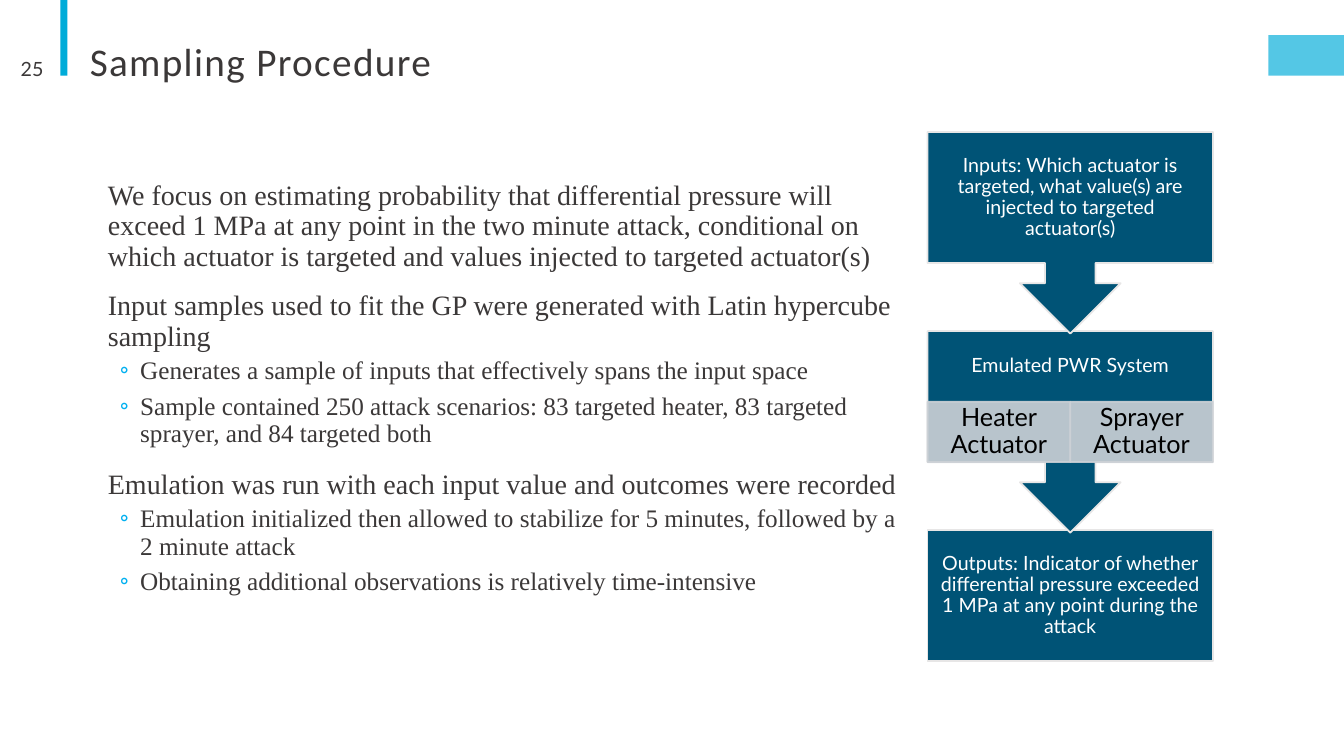
from lxml.etree import SubElement
from pptx import Presentation
from pptx.dml.color import RGBColor
from pptx.enum.shapes import MSO_SHAPE
from pptx.enum.text import MSO_ANCHOR, PP_ALIGN
from pptx.oxml.ns import qn
from pptx.util import Inches, Pt

CYAN = RGBColor(0x00, 0xAC, 0xD9)
BULLET = RGBColor(0x00, 0xB0, 0xF0)
NAVY = RGBColor(0x00, 0x53, 0x76)
PALE = RGBColor(0xE7, 0xE6, 0xE6)
GREY = RGBColor(0xCC, 0xD1, 0xD6)
INK = RGBColor(0x3B, 0x38, 0x38)
WHITE = RGBColor(0xFF, 0xFF, 0xFF)
BLACK = RGBColor(0x00, 0x00, 0x00)

deck = Presentation()
deck.slide_width, deck.slide_height = Inches(13.33), Inches(7.5)
page = deck.slides.add_slide(deck.slide_layouts[5])


def add_block(kind, place, fill, line=None, opacity=100):
    block = page.shapes.add_shape(kind, *map(Inches, place))
    block.shadow.inherit = False
    block.fill.solid()
    block.fill.fore_color.rgb = fill
    if line is None:
        block.line.fill.background()
    else:
        block.line.color.rgb = line
        block.line.width = Pt(1.25)
    if opacity < 100:
        for color in block._element.spPr.iter(qn("a:srgbClr")):
            SubElement(color, qn("a:alpha"), val=str(opacity * 1000))
    return block


def write(frame, text, font, align, anchor, insets, spacing=1.0):
    frame.word_wrap = True
    frame.vertical_anchor = anchor
    for side, inset in zip(("left", "top", "right", "bottom"), insets):
        setattr(frame, f"margin_{side}", Inches(inset))
    para = frame.paragraphs[0]
    para.alignment, para.line_spacing = align, spacing
    span = para.add_run()
    span.text = text
    for name, value in font.items():
        if name == "color":
            span.font.color.rgb = value
        else:
            setattr(span.font, name, value)
    return span


add_block(MSO_SHAPE.RECTANGLE, (0.6, 0, 0.07, 0.75), CYAN)
add_block(MSO_SHAPE.RECTANGLE, (12.58, 0.35, 0.75, 0.4), CYAN, opacity=67)

title = page.shapes.title
title.left, title.top, title.width, title.height = map(Inches, (0.79, 0.39, 11, 0.62))
heading = write(title.text_frame, "Sampling Procedure",
                {"name": "Calibri", "size": Pt(28), "color": INK},
                PP_ALIGN.LEFT, MSO_ANCHOR.TOP, (0.1, 0.05, 0.1, 0.05), 0.85)
heading.font._element.set("spc", "100")

number = page.shapes.add_textbox(*map(Inches, (0.07, 0.48, 0.46, 0.4)))
write(number.text_frame, "25", {"name": "Lato", "size": Pt(14), "color": INK},
      PP_ALIGN.RIGHT, MSO_ANCHOR.MIDDLE, (0.1, 0.05, 0.1, 0.05))

LEFT, WIDTH, BOX_HEIGHT, CALLOUT_HEIGHT = 9.2, 2.83, 1.3, 2
ACTUATOR_HEIGHT = 0.6
STEP = 1.975
step_tops = [1.31 + STEP * index for index in range(3)]
steps = [
    (2, MSO_SHAPE.RECTANGLE, BOX_HEIGHT, 0.11,
     "Outputs: Indicator of whether differential pressure exceeded 1 MPa at any point during the attack"),
    (1, MSO_SHAPE.DOWN_ARROW_CALLOUT, CALLOUT_HEIGHT, 0.11 + ACTUATOR_HEIGHT,
     "Emulated PWR System"),
    (0, MSO_SHAPE.DOWN_ARROW_CALLOUT, CALLOUT_HEIGHT, 0.11,
     "Inputs: Which actuator is targeted, what value(s) are injected to targeted actuator(s)"),
]
for index, kind, height, bottom, text in steps:
    step = add_block(kind, (LEFT, step_tops[index], WIDTH, height), NAVY, PALE)
    if kind == MSO_SHAPE.DOWN_ARROW_CALLOUT:
        for position, share in enumerate((0.25, 0.25, 0.25, 0.65)):
            step.adjustments[position] = share
    write(step.text_frame, text, {"name": "Lato", "size": Pt(14), "color": WHITE},
          PP_ALIGN.CENTER, MSO_ANCHOR.MIDDLE, (0.11, 0.11, 0.11, bottom), 0.9)

actuator_top = step_tops[1] + BOX_HEIGHT - ACTUATOR_HEIGHT
for column, text in enumerate(("Heater Actuator", "Sprayer Actuator")):
    actuator = add_block(MSO_SHAPE.RECTANGLE,
                         (LEFT + column * WIDTH / 2, actuator_top, WIDTH / 2, ACTUATOR_HEIGHT),
                         GREY, GREY, opacity=90)
    write(actuator.text_frame, text, {"name": "Lato", "size": Pt(18), "color": BLACK},
          PP_ALIGN.CENTER, MSO_ANCHOR.MIDDLE, (0.14, 0.03, 0.14, 0.03), 0.9)

points = [
    (0, "We focus on estimating probability that differential pressure will exceed 1 MPa at any point in the two minute attack, conditional on which actuator is targeted and values injected to targeted actuator(s)"),
    (0, "Input samples used to fit the GP were generated with Latin hypercube sampling"),
    (1, "Generates a sample of inputs that effectively spans the input space"),
    (1, "Sample contained 250 attack scenarios: 83 targeted heater, 83 targeted sprayer, and 84 targeted both"),
    (0, "Emulation was run with each input value and outcomes were recorded"),
    (1, "Emulation initialized then allowed to stabilize for 5 minutes, followed by a 2 minute attack"),
    (1, "Obtaining additional observations is relatively time-intensive"),
]
formats = [
    {"size": 20, "before": 12, "after": 2, "margin": 0.1, "indent": 0},
    {"size": 18, "before": 2, "after": 4, "margin": 0.42, "indent": -0.2},
]
body = page.shapes.add_textbox(*map(Inches, (0.97, 1.75, 7.95, 5.44)))
frame = body.text_frame
frame.word_wrap = True
frame.margin_left = frame.margin_right = 0
for order, (level, text) in enumerate(points):
    style = formats[level]
    para = frame.add_paragraph() if order else frame.paragraphs[0]
    para.level = level
    para.line_spacing = 0.9
    para.space_before = Pt(style["before"] if order else 0)
    para.space_after = Pt(style["after"])
    properties = para._p.get_or_add_pPr()
    properties.set("marL", str(Inches(style["margin"])))
    properties.set("indent", str(Inches(style["indent"])))
    if level:
        bullet_color = SubElement(properties, qn("a:buClr"))
        SubElement(bullet_color, qn("a:srgbClr"), val=str(BULLET))
        SubElement(properties, qn("a:buFont"), typeface="Calibri")
        SubElement(properties, qn("a:buChar"), char="◦")
    span = para.add_run()
    span.text = text
    span.font.name = "Times New Roman"
    span.font.size = Pt(style["size"])
    span.font.color.rgb = INK

deck.save("out.pptx")
